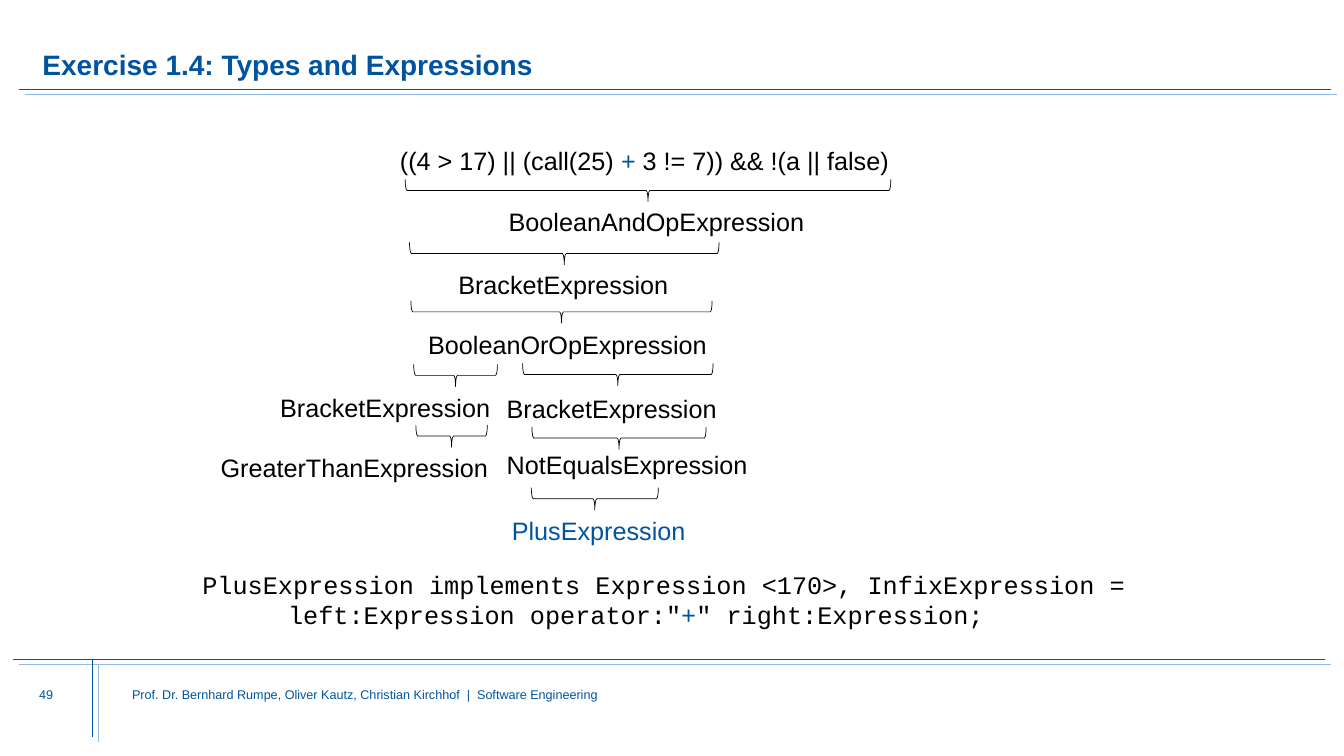
"""Build the slide on types and expressions with its brace diagram."""
from pptx import Presentation
from pptx.dml.color import RGBColor
from pptx.enum.shapes import MSO_CONNECTOR as Connector, MSO_SHAPE as Shape
from pptx.enum.text import MSO_ANCHOR as Anchor, MSO_AUTO_SIZE as AutoSize
from pptx.oxml.ns import qn
from pptx.util import Cm, Pt

COLORS = {"blue": "00549F", "light": "8EBAE5", "black": "000000"}
TITLE = "Exercise 1.4: Types and Expressions"
EXPRESSION = [("((4 > 17) || (call(25) ", "black"), ("+", "blue"),
              (" 3 != 7)) && !(a || false)", "black")]
GRAMMAR = [
    [("PlusExpression implements Expression <170>, InfixExpression =", "black")],
    [("left:Expression operator:\"", "black"), ("+", "blue"),
     ("\" right:Expression;", "black")],
]
GRAMMAR_INDENTS = (0.38, 2.54)
FOOTERS = [
    ("Prof. Dr. Bernhard Rumpe, Oliver Kautz, Christian Kirchhof  |  Software Engineering",
     (3.33, 17.3, 19.46, 1.75)),
    ("49", (0.99, 17.3, 2.03, 1.09)),
]
RULES = [(0.48, 2.26, 33.55, 2.26), (0.33, 16.61, 33.38, 16.61),
         (2.34, 16.61, 2.34, 18.57)]
RULE_LAYERS = [("blue", 0, 0), ("light", 0.15, 0.13)]
# Each node: label, color, label box (left, top, width), brace (centre x, centre y, span)
NODES = [
    ("BooleanAndOpExpression", "black", (12.57, 5.08, 8.03), (16.33, 4.8, 12.24)),
    ("BracketExpression", "black", (11.3, 6.65, 5.87), (14.22, 6.39, 7.8)),
    ("BooleanOrOpExpression", "black", (10.54, 8.18, 7.59), (14.15, 7.86, 7.59)),
    ("BracketExpression", "black", (6.81, 9.75, 5.87), (11.48, 9.46, 2.11)),
    ("GreaterThanExpression", "black", (5.31, 11.28, 7.32), (11.38, 10.99, 1.8)),
    ("BracketExpression", "black", (12.52, 9.78, 5.87), (15.57, 9.44, 4.8)),
    ("NotEqualsExpression", "black", (12.52, 11.2, 6.63), (15.6, 11.04, 4.39)),
    ("PlusExpression", "blue", (12.65, 12.85, 4.93), (14.99, 12.57, 3.2)),
]
BRACE_DEPTH = 0.56
LABEL_HEIGHT = 1.02
INSET = (0.25, 0.13)


def rgb(name):
    return RGBColor.from_string(COLORS[name])


def write(box, lines, size=18, font="Arial", bold=False, inset=(0, 0),
          anchor=Anchor.TOP, wrap=True, spacing=1.0, indents=(0,)):
    frame = box.text_frame
    frame.auto_size = AutoSize.NONE
    frame.word_wrap = wrap
    frame.vertical_anchor = anchor
    frame.margin_left = frame.margin_right = Cm(inset[0])
    frame.margin_top = frame.margin_bottom = Cm(inset[1])
    for index, (line, indent) in enumerate(zip(lines, indents)):
        para = frame.add_paragraph() if index else frame.paragraphs[0]
        para.alignment = 1
        para.line_spacing = spacing
        para.space_before = Pt(0)
        props = para._p.get_or_add_pPr()
        props.set("marL", str(Cm(indent)))
        props.set("indent", "0")
        props.append(props.makeelement(qn("a:buNone"), {}))
        for text, color in line:
            span = para.add_run()
            span.text = text
            span.font.size = Pt(size)
            span.font.name = font
            span.font.bold = bold
            span.font.color.rgb = rgb(color)


def place(box, left, top, width, height):
    box.left, box.top, box.width, box.height = map(Cm, (left, top, width, height))


def add_text(page, area, lines, **style):
    write(page.shapes.add_textbox(*map(Cm, area)), lines, **style)


def add_rule(page, ends, color):
    rule = page.shapes.add_connector(Connector.STRAIGHT, *map(Cm, ends))
    rule.line.color.rgb = rgb(color)
    rule.line.width = Pt(0.5)
    props = rule._element.spPr
    props.append(props.makeelement(qn("a:effectLst"), {}))


def add_brace(page, center_x, center_y, span):
    area = (center_x - BRACE_DEPTH / 2, center_y - span / 2, BRACE_DEPTH, span)
    brace = page.shapes.add_shape(Shape.RIGHT_BRACE, *map(Cm, area))
    brace.rotation = 90
    brace.shadow.inherit = False
    brace.fill.background()
    brace.line.color.rgb = rgb("black")
    brace.line.width = Pt(0.5)


deck = Presentation()
deck.slide_width, deck.slide_height = Cm(33.87), Cm(19.05)
page = deck.slides.add_slide(deck.slide_layouts[1])

for x1, y1, x2, y2 in RULES:
    for color, dx, dy in RULE_LAYERS:
        add_rule(page, (x1 + dx, y1 + dy, x2 + dx, y2 + dy), color)
for text, area in FOOTERS:
    add_text(page, area, [[(text, "blue")]], size=9)

title, body = page.shapes.title, page.placeholders[1]
place(title, 1.07, 0.56, 31.9, 1.5)
write(title, [[(TITLE, "blue")]], size=20, bold=True, anchor=Anchor.BOTTOM, spacing=0.9)
place(body, 10.08, 3.66, 13.5, 1)
write(body, [EXPRESSION])

for label, color, corner, brace in NODES:
    add_brace(page, *brace)
    add_text(page, (*corner, LABEL_HEIGHT), [[(label, color)]], inset=INSET, wrap=False)
add_text(page, (4.47, 14.22, 25.4, 1.8), GRAMMAR, font="Courier New",
         inset=INSET, indents=GRAMMAR_INDENTS)

deck.save("out.pptx")
